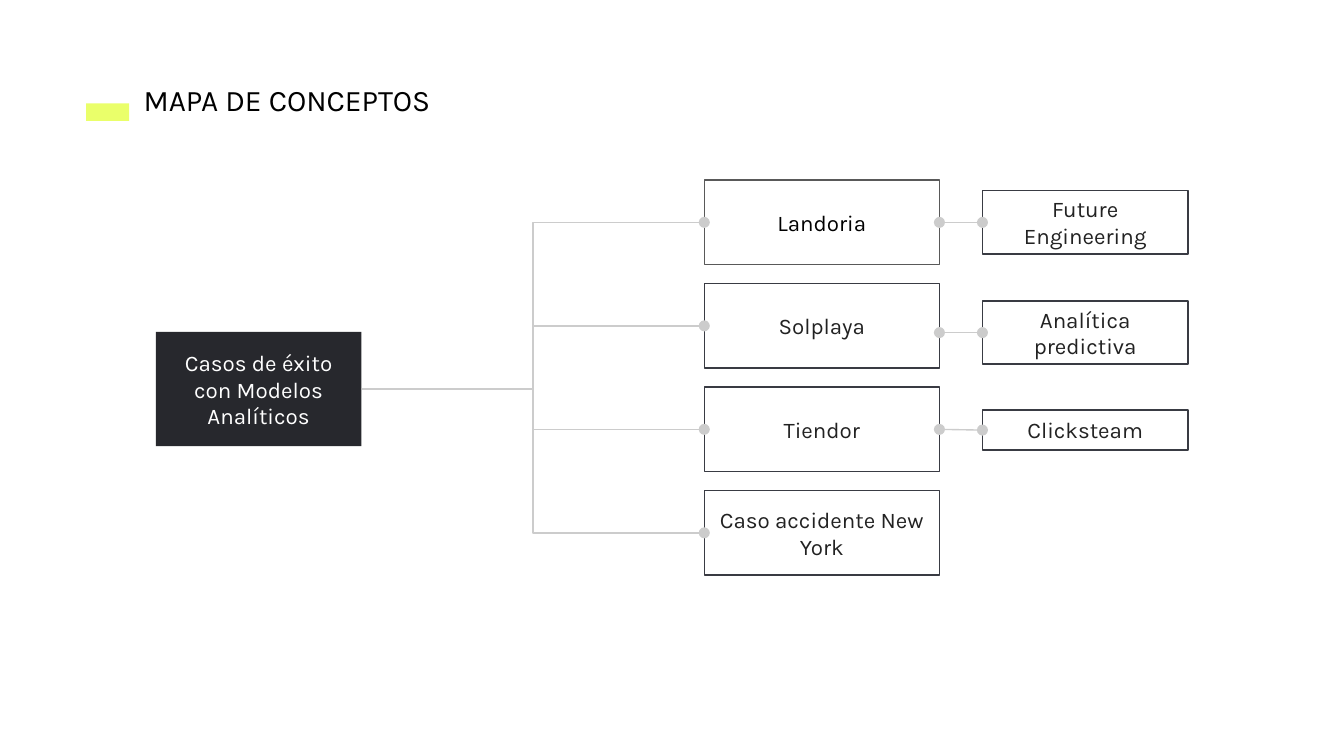
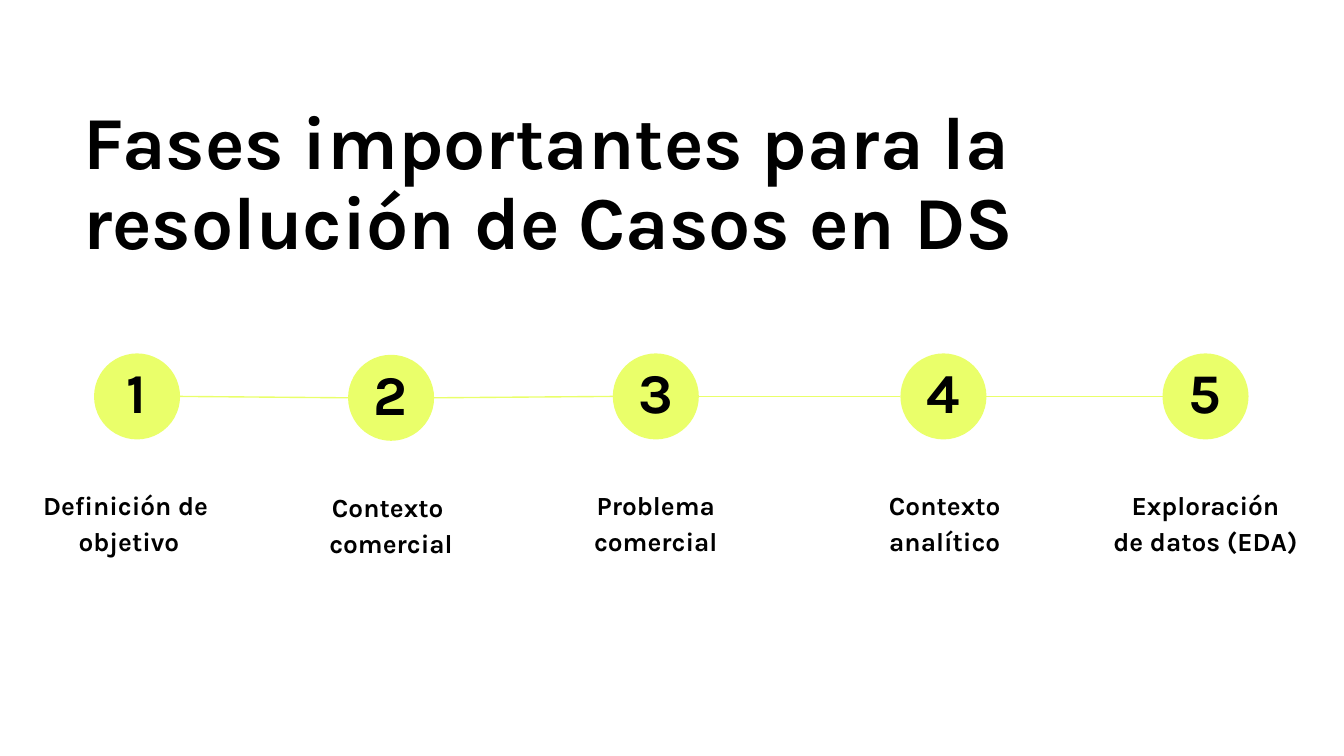
from dataclasses import dataclass

from lxml.etree import SubElement
from pptx import Presentation
from pptx.dml.color import RGBColor
from pptx.enum.shapes import MSO_CONNECTOR, MSO_SHAPE
from pptx.enum.text import MSO_ANCHOR, MSO_AUTO_SIZE, PP_ALIGN
from pptx.oxml.ns import qn
from pptx.util import Inches, Pt


@dataclass(frozen=True)
class Theme:
    font: str = "Karla"
    lime: str = "EAFF6A"
    dark: str = "27282D"
    border: str = "393B43"
    soft_border: str = "595959"
    link: str = "CCCCCC"
    ink: str = "222222"
    black: str = "000000"
    white: str = "FFFFFF"
    heading: int = 16
    headline: int = 40
    number: int = 30
    label: int = 14
    node: int = 12
    rule: float = 0.75


THEME = Theme()

MAP_TITLE = "MAPA DE CONCEPTOS"
ROOT = "Casos de éxito con Modelos Analíticos"
CASES = [
    {"name": "Landoria", "method": "Future Engineering", "top": 1.42, "height": 0.47,
     "fill": THEME.white, "line": THEME.soft_border, "color": THEME.black},
    {"name": "Solplaya", "method": "Analítica predictiva", "top": 2.24, "height": 0.47},
    {"name": "Tiendor", "method": "Clicksteam", "top": 3.05, "height": 0.3},
    {"name": "Caso accidente New York"},
]
CASE_LEFT, CASE_TOP, CASE_WIDTH, CASE_HEIGHT, CASE_PITCH = 5.24, 1.34, 1.75, 0.63, 0.77
METHOD_LEFT, METHOD_WIDTH = 7.31, 1.53

PHASES_TITLE = "Fases importantes para la resolución de Casos en DS"
PHASES = [
    (0.70, 2.63, -0.11, ["Definición de ", "objetivo"]),
    (2.59, 2.64, 1.84, ["Contexto ", "comercial"]),
    (4.56, 2.63, 3.81, ["Problema", "comercial"]),
    (6.70, 2.63, 5.96, ["Contexto", "analítico"]),
    (8.65, 2.63, 7.90, ["Exploración", "de datos (EDA)"]),
]
CIRCLE = 0.64


def rgb(code):
    return RGBColor.from_string(code)


def write(shape, paragraphs, *, size, color=THEME.black, bold=False,
          align=PP_ALIGN.LEFT, anchor=MSO_ANCHOR.TOP, spacing=None, grow=False):
    frame = shape.text_frame
    frame.word_wrap = True
    frame.vertical_anchor = anchor
    frame.auto_size = MSO_AUTO_SIZE.SHAPE_TO_FIT_TEXT if grow else MSO_AUTO_SIZE.NONE
    frame.margin_left = frame.margin_right = Inches(0.1)
    frame.margin_top = frame.margin_bottom = Inches(0.1)
    for index, text in enumerate(paragraphs):
        paragraph = frame.add_paragraph() if index else frame.paragraphs[0]
        paragraph.alignment = align
        paragraph.line_spacing = spacing
        run = paragraph.add_run()
        run.text = text
        run.font.name = THEME.font
        run.font.size = Pt(size)
        run.font.bold = bold
        run.font.color.rgb = rgb(color)


def add_text(slide, box, paragraphs, **style):
    write(slide.shapes.add_textbox(*map(Inches, box)), paragraphs, grow=True, **style)


def add_block(slide, box, kind=MSO_SHAPE.RECTANGLE, fill=None, line=None):
    block = slide.shapes.add_shape(kind, *map(Inches, box))
    block.shadow.inherit = False
    if fill:
        block.fill.solid()
        block.fill.fore_color.rgb = rgb(fill)
    else:
        block.fill.background()
    if line:
        block.line.color.rgb = rgb(line)
        block.line.width = Pt(THEME.rule)
    else:
        block.line.fill.background()
    return block


def add_node(slide, box, text, color=THEME.ink, **look):
    node = add_block(slide, box, **look)
    write(node, [text], size=THEME.node, color=color,
          align=PP_ALIGN.CENTER, anchor=MSO_ANCHOR.MIDDLE)
    return node


def add_link(slide, start, end, color, kind=MSO_CONNECTOR.STRAIGHT, ends=()):
    link = slide.shapes.add_connector(kind, *map(Inches, (*start, *end)))
    link.line.color.rgb = rgb(color)
    link.line.width = Pt(THEME.rule)
    outline = link.line._get_or_add_ln()
    for tag in ends:
        SubElement(outline, qn(tag), type="oval")
    SubElement(link._element.spPr, qn("a:effectLst"))
    return link


def build_concept_map(slide):
    add_block(slide, (0.64, 0.77, 0.32, 0.13), fill=THEME.lime)
    add_text(slide, (0.97, 0.51, 2.69, 0.47), [MAP_TITLE], size=THEME.heading)
    root = add_node(slide, (1.16, 2.47, 1.53, 0.85), ROOT, color=THEME.white, fill=THEME.dark)
    for row, case in enumerate(CASES):
        top = CASE_TOP + row * CASE_PITCH
        middle = top + CASE_HEIGHT / 2
        node = add_node(slide, (CASE_LEFT, top, CASE_WIDTH, CASE_HEIGHT), case["name"],
                        color=case.get("color", THEME.ink), fill=case.get("fill"),
                        line=case.get("line", THEME.border))
        branch = add_link(slide, (2.69, 2.9), (CASE_LEFT, middle), THEME.link,
                          kind=MSO_CONNECTOR.ELBOW, ends=["a:tailEnd"])
        branch.begin_connect(root, 3)
        branch.end_connect(node, 1)
        if "method" not in case:
            continue
        level = case["top"] + case["height"] / 2
        method = add_node(slide, (METHOD_LEFT, case["top"], METHOD_WIDTH, case["height"]),
                          case["method"], fill=THEME.white, line=THEME.border)
        bridge = add_link(slide, (CASE_LEFT + CASE_WIDTH, level), (METHOD_LEFT, level),
                          THEME.link, ends=["a:headEnd", "a:tailEnd"])
        if abs(level - middle) < 0.01:
            bridge.begin_connect(node, 3)
        bridge.end_connect(method, 1)


def build_phases(slide):
    add_text(slide, (0.52, 0.68, 8.9, 1.41), [PHASES_TITLE],
             size=THEME.headline, bold=True, spacing=0.9)
    for (left, top, *_), (next_left, next_top, *_) in zip(PHASES, PHASES[1:]):
        add_link(slide, (left + CIRCLE, top + CIRCLE / 2),
                 (next_left, next_top + CIRCLE / 2), THEME.lime)
    for number, (left, top, label_left, label) in enumerate(PHASES, 1):
        add_block(slide, (left, top, CIRCLE, CIRCLE), kind=MSO_SHAPE.OVAL, fill=THEME.lime)
        add_text(slide, (left + 0.09, top - 0.01, 0.45, 0.66), [str(number)],
                 size=THEME.number, bold=True, align=PP_ALIGN.CENTER, spacing=0.9)
        add_text(slide, (label_left, top + 0.88, 2.14, 0.71), label,
                 size=THEME.label, bold=True, align=PP_ALIGN.CENTER, spacing=1.15)


def main():
    deck = Presentation()
    deck.slide_width = Inches(10)
    deck.slide_height = deck.slide_width * 9 // 16
    for build in (build_concept_map, build_phases):
        slide = deck.slides.add_slide(deck.slide_layouts[6])
        slide.background.fill.solid()
        slide.background.fill.fore_color.rgb = rgb(THEME.white)
        build(slide)
    deck.save("out.pptx")


if __name__ == "__main__":
    main()
